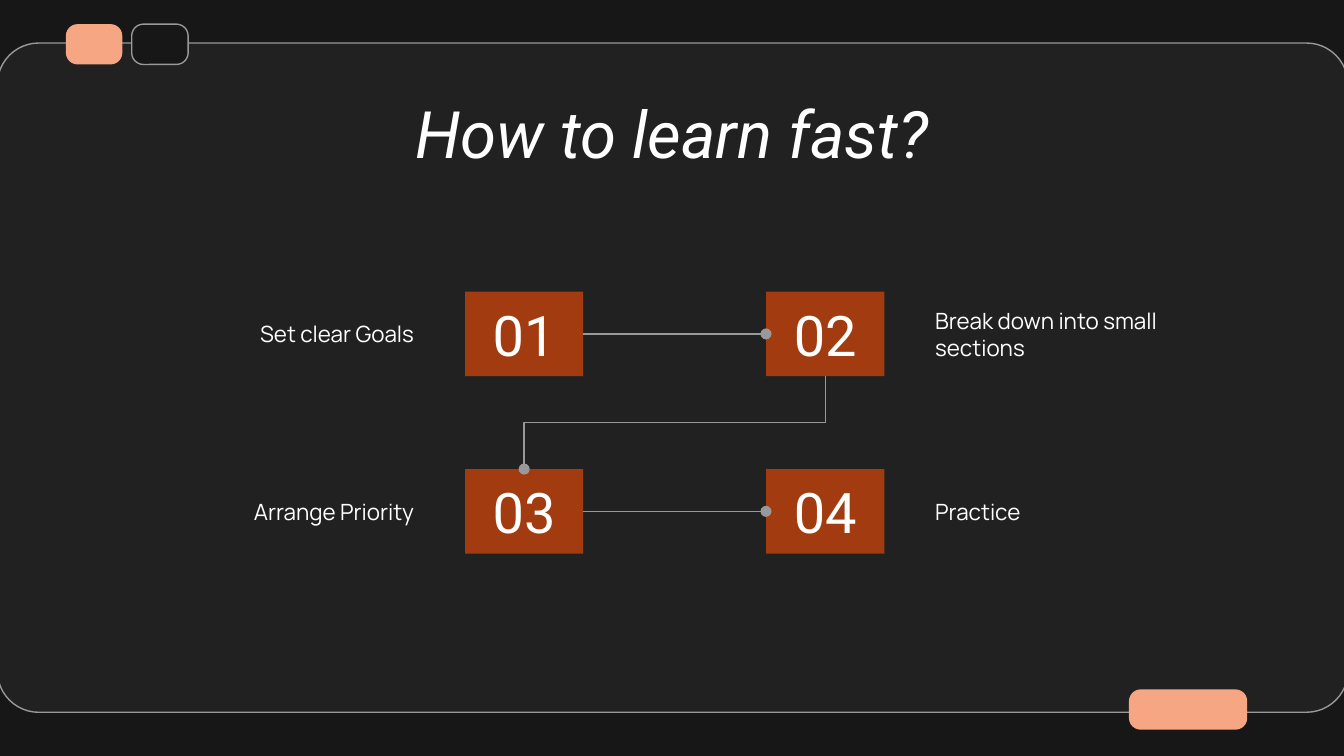
from lxml import etree
from pptx import Presentation
from pptx.dml.color import RGBColor
from pptx.enum.shapes import MSO_CONNECTOR, MSO_SHAPE
from pptx.enum.text import MSO_ANCHOR, PP_ALIGN
from pptx.oxml.ns import qn
from pptx.util import Inches, Pt

ELBOW = MSO_CONNECTOR.ELBOW
RECT, ROUNDED = MSO_SHAPE.RECTANGLE, MSO_SHAPE.ROUNDED_RECTANGLE
TOP, MIDDLE = MSO_ANCHOR.TOP, MSO_ANCHOR.MIDDLE
LEFT, CENTER, RIGHT = PP_ALIGN.LEFT, PP_ALIGN.CENTER, PP_ALIGN.RIGHT

COLORS = {"back": "171717", "panel": "212121", "line": "999999",
          "peach": "F6A683", "rust": "A23C10", "text": "FFFFFF"}
TITLE_FONT = {"name": "Roboto", "size": Pt(35), "italic": True, "bold": False}
NUMBER_FONT = {"name": "Roboto", "size": Pt(30)}
LABEL_FONT = {"name": "Manrope", "size": Pt(12)}

STEPS = ["Set clear Goals", "Break down into small sections",
         "Arrange Priority", "Practice"]
BOX_W, BOX_H = 0.88, 0.63
BOX_X, LABEL_X = (3.46, 5.7), (1.06, 6.86)
ROW_Y = (2.17, 3.49)
LABEL_W = 2.12


def rgb(name):
    return RGBColor.from_string(COLORS[name])


def add_box(s, kind, x, y, w, h, fill, line=None, radius=None):
    sp = s.shapes.add_shape(kind, Inches(x), Inches(y), Inches(w), Inches(h))
    sp.shadow.inherit = False
    sp.fill.solid()
    sp.fill.fore_color.rgb = rgb(fill)
    if line:
        sp.line.color.rgb = rgb(line)
        sp.line.width = Pt(0.75)
    else:
        sp.line.fill.background()
    if radius is not None:
        sp.adjustments[0] = radius
    return sp


def set_text(sp, text, font, align, anchor=MIDDLE):
    tf = sp.text_frame
    tf.word_wrap = True
    tf.vertical_anchor = anchor
    for side in ("left", "top", "right", "bottom"):
        setattr(tf, f"margin_{side}", Inches(0.1))
    p = tf.paragraphs[0]
    p.alignment = align
    r = p.add_run()
    r.text = text
    for key, value in font.items():
        setattr(r.font, key, value)
    r.font.color.rgb = rgb("text")


def add_link(s, x1, y1, x2, y2, vertical=False):
    """Draw an elbow line ending in a dot; a vertical one leaves downwards."""
    if vertical:
        # A quarter turn about the centre swaps width and height.
        cx, cy = (x1 + x2) / 2, (y1 + y2) / 2
        half_w, half_h = (y2 - y1) / 2, (x1 - x2) / 2
        x1, y1, x2, y2 = cx - half_w, cy - half_h, cx + half_w, cy + half_h
    link = s.shapes.add_connector(ELBOW, Inches(x1), Inches(y1),
                                  Inches(x2), Inches(y2))
    link.line.color.rgb = rgb("line")
    link.line.width = Pt(0.75)
    sp_pr = link.element.spPr
    if vertical:
        sp_pr.find(qn("a:xfrm")).set("rot", str(90 * 60000))
    etree.SubElement(sp_pr.find(qn("a:ln")), qn("a:tailEnd"), type="oval")
    etree.SubElement(sp_pr, qn("a:effectLst"))


def add_frame(s):
    add_box(s, ROUNDED, -0.02, 0.32, 10.05, 4.98, "panel", "line", 0.062)
    add_box(s, ROUNDED, 8.4, 5.13, 0.88, 0.3, "peach", radius=0.289)
    add_box(s, ROUNDED, 0.49, 0.18, 0.42, 0.3, "peach", radius=0.289)
    add_box(s, ROUNDED, 0.98, 0.18, 0.42, 0.3, "back", "line", 0.289)


def add_title(s, text):
    sp = s.shapes.title
    sp.left, sp.top = Inches(0.78), Inches(0.59)
    sp.width, sp.height = Inches(8.44), Inches(0.63)
    set_text(sp, text, TITLE_FONT, CENTER, TOP)
    # Bring the title in front of the frame.
    sp.element.getparent().append(sp.element)


def add_step(s, i, label):
    row, col = divmod(i, 2)
    y = ROW_Y[row]
    box = add_box(s, RECT, BOX_X[col], y, BOX_W, BOX_H, "rust")
    set_text(box, f"{i + 1:02}", NUMBER_FONT, CENTER)
    tb = s.shapes.add_textbox(Inches(LABEL_X[col]), Inches(y),
                              Inches(LABEL_W), Inches(BOX_H))
    set_text(tb, label, LABEL_FONT, (RIGHT, LEFT)[col])


def add_links(s):
    for y in ROW_Y:
        mid = y + BOX_H / 2
        add_link(s, BOX_X[0] + BOX_W, mid, BOX_X[1], mid)
    add_link(s, BOX_X[1] + BOX_W / 2, ROW_Y[0] + BOX_H,
             BOX_X[0] + BOX_W / 2, ROW_Y[1], vertical=True)


def main():
    prs = Presentation()
    prs.slide_width = Inches(10)
    prs.slide_height = Inches(10) * 9 // 16
    s = prs.slides.add_slide(prs.slide_layouts[5])
    s.background.fill.solid()
    s.background.fill.fore_color.rgb = rgb("back")
    add_frame(s)
    add_title(s, "How to learn fast?")
    for i, label in enumerate(STEPS):
        add_step(s, i, label)
    add_links(s)
    prs.save("out.pptx")


if __name__ == "__main__":
    main()
